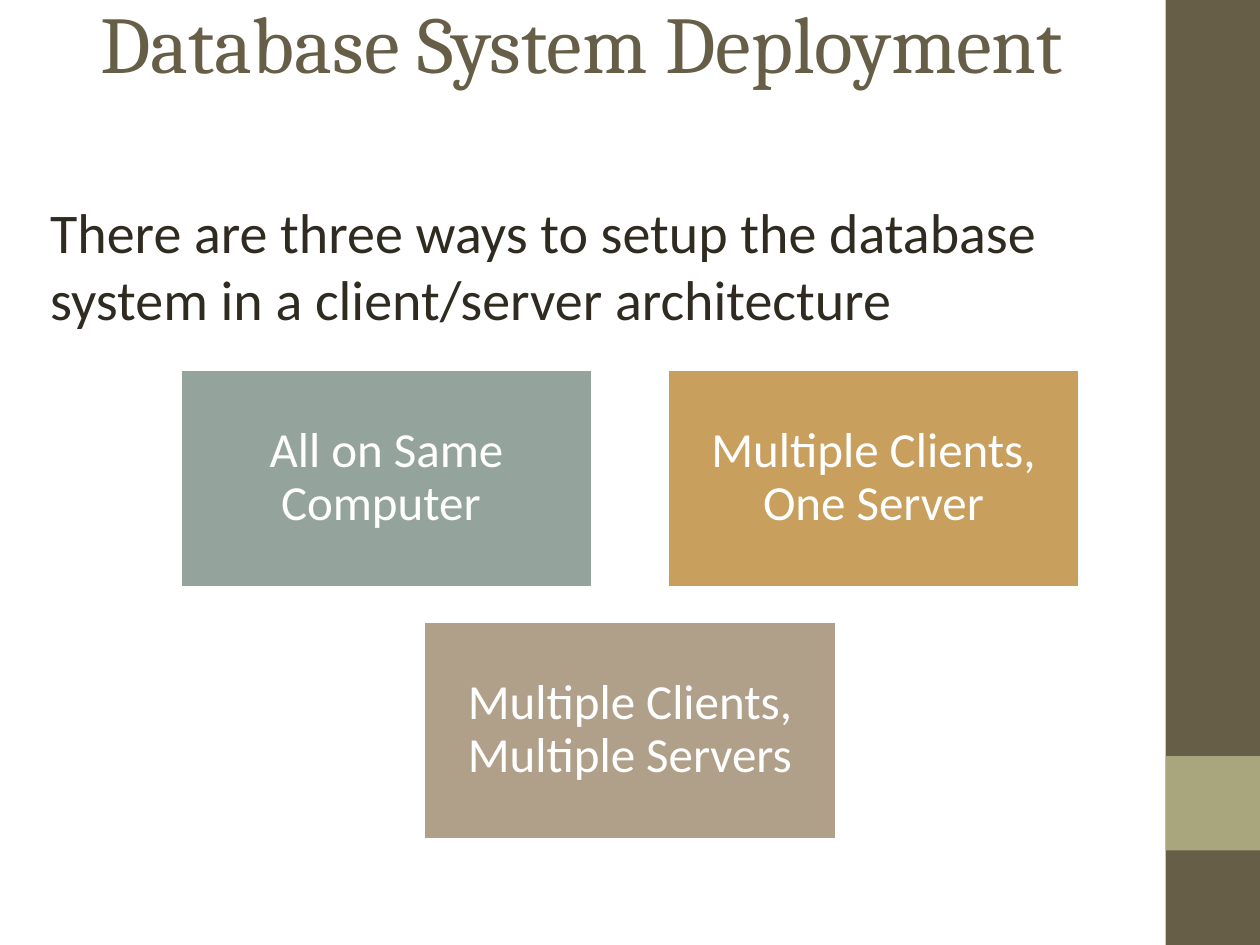
import pptx
import pptx.dml.color
import pptx.enum.shapes
import pptx.enum.text
import pptx.util

WIDE, HIGH = 10, 7.5
OLIVE, SAGE, INK, WHITE = "675E47", "A9A57C", "2F2B20", "FFFFFF"
ALIGN = pptx.enum.text.PP_ALIGN
ANCHOR = pptx.enum.text.MSO_ANCHOR
CARDS = [
    ("All on Same Computer ", "95A39D"),
    ("Multiple Clients, One Server", "C89F5D"),
    ("Multiple Clients, Multiple Servers", "B1A089"),
]


def color(code):
    return pptx.dml.color.RGBColor.from_string(code)


def inches(box):
    return [pptx.util.Inches(n) for n in box]


def write(shape, text, size, ink, font="Calibri", align=ALIGN.LEFT,
          anchor=ANCHOR.TOP, space=None, inset=(0.1, 0.05)):
    frame = shape.text_frame
    frame.word_wrap = True
    frame.vertical_anchor = anchor
    frame.margin_left = frame.margin_right = pptx.util.Inches(inset[0])
    frame.margin_top = frame.margin_bottom = pptx.util.Inches(inset[1])
    para = frame.paragraphs[0]
    para.alignment = align
    para.line_spacing = space
    run = para.add_run()
    run.text = text
    run.font.name = font
    run.font.size = pptx.util.Pt(size)
    run.font.color.rgb = color(ink)


def block(slide, box, fill, edge=None):
    shape = slide.shapes.add_shape(
        pptx.enum.shapes.MSO_SHAPE.RECTANGLE, *inches(box))
    shape.shadow.inherit = False
    shape.fill.solid()
    shape.fill.fore_color.rgb = color(fill)
    if edge:
        shape.line.color.rgb = color(edge)
        shape.line.width = pptx.util.Pt(3)
    else:
        shape.line.fill.background()
    return shape


def band(slide, box):
    """Side band with a lighter square, one square above the foot."""
    left, top, width, height = box
    block(slide, box, OLIVE)
    block(slide, (left, top + height - 2 * width, width, width), SAGE)


def title(slide, box):
    shape = slide.shapes.add_textbox(*inches(box))
    write(shape, "Database System Deployment", 46, OLIVE, font="Cambria",
          space=pptx.util.Pt(18), inset=(0.08, 0))


def intro(slide, box):
    shape = slide.shapes.add_textbox(*inches(box))
    write(shape, "There are three ways to setup the database system "
          "in a client/server architecture", 32, INK)


def cards(slide, box, cols=2, share=0.46):
    """Rows of cards, with a short last row centred."""
    left, top, width, height = box
    rows = -(-len(CARDS) // cols)
    wide = width * share
    step = (width - wide) / (cols - 1)
    tall = height * 7 / 15
    drop = (height - tall) / (rows - 1)
    for row in range(rows):
        line = CARDS[row * cols:(row + 1) * cols]
        start = left + (cols - len(line)) * step / 2
        for col, (text, fill) in enumerate(line):
            place = (start + col * step, top + row * drop, wide, tall)
            write(block(slide, place, fill, WHITE), text, 28, WHITE,
                  align=ALIGN.CENTER, anchor=ANCHOR.MIDDLE, space=0.9,
                  inset=(0.09, 0.09))


def main():
    deck = pptx.Presentation()
    deck.slide_width, deck.slide_height = inches((WIDE, HIGH))
    slide = deck.slides.add_slide(deck.slide_layouts[6])
    side = WIDE * 0.075
    band(slide, (WIDE - side, 0, side, HIGH))
    intro(slide, (0.3, 1.52, 8.33, HIGH * 0.7))
    cards(slide, (1.42, 2.92, 7.16, HIGH * 0.5))
    title(slide, (0.72, 0.46, 8.27, 0.51))
    deck.save("out.pptx")


if __name__ == "__main__":
    main()
